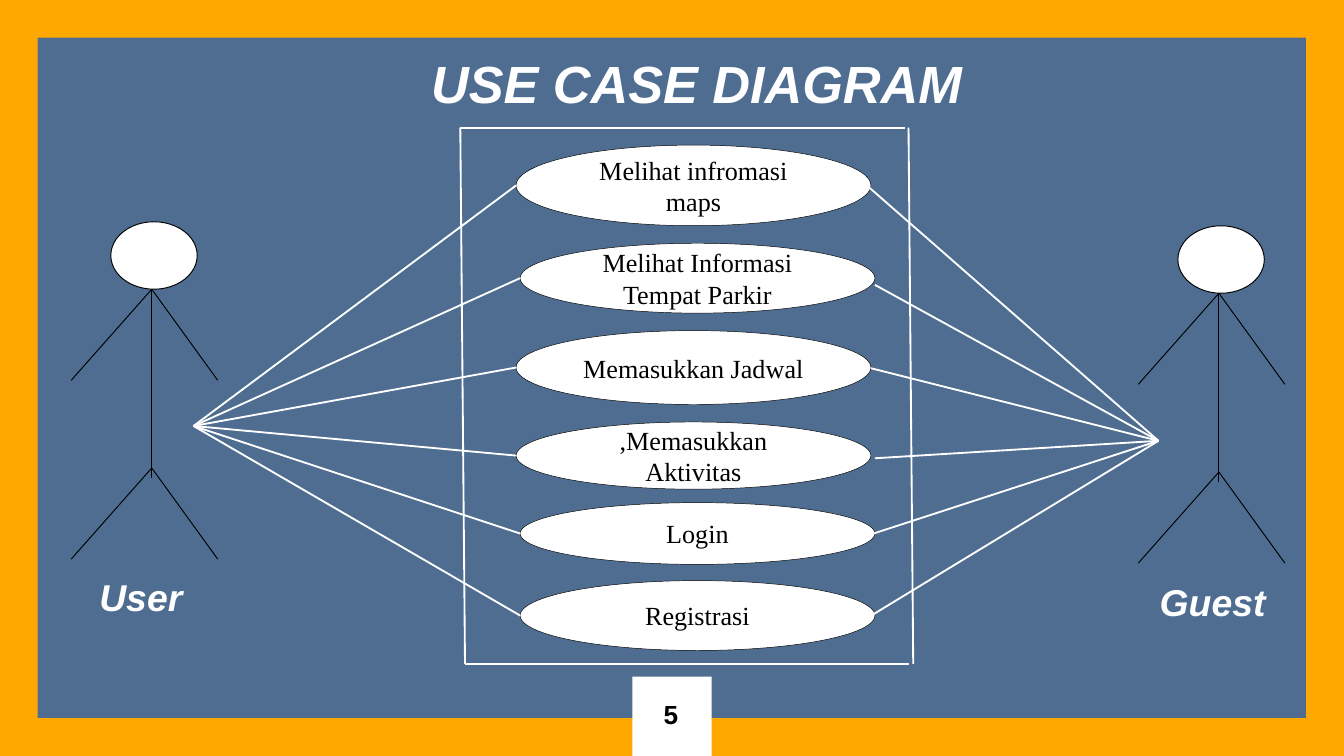
from lxml import etree
from pptx import Presentation
from pptx import util as u
from pptx.dml.color import RGBColor
from pptx.enum import shapes, text
from pptx.oxml import ns

WHITE = RGBColor(0xFF, 0xFF, 0xFF)
BLACK = RGBColor(0, 0, 0)
BLUE = RGBColor(0x32, 0x56, 0x80)
AMBER = RGBColor(0xFF, 0xA8, 0x00)

COLS, ROWS = 100, 56.25
CELL = u.Inches(0.1)
KIND = shapes.MSO_SHAPE
HEAD = dict(name="Arial", size=u.Pt(28), bold=True, italic=True)
ROLE = dict(HEAD, size=u.Pt(20))
PAGE = dict(ROLE, size=u.Pt(14), italic=False)
CASE = dict(name="Times New Roman", size=u.Pt(14))

CASES = [
    ("Melihat infromasi maps", 38.4, 10.8, 6, (64.5, 13.8)),
    ("Melihat Informasi Tempat Parkir", 38.7, 18.1, 5.2, (65.1, 21.2)),
    ("Memasukkan Jadwal", 38.4, 24.6, 5.5, (64.8, 27.4)),
    (",Memasukkan Aktivitas", 38.4, 31.4, 5, (65.1, 34.1)),
    ("Login", 38.7, 37.4, 4.6, (65, 39.7)),
    ("Registrasi", 38.7, 43.2, 5.2, (65, 45.7)),
]
BONES = [
    (0.55, 0.2, 0.55, 0.76),
    (0.55, 0.73, 0, 1), (0.55, 0.73, 1, 1),
    (0.55, 0.2, 0, 0.47), (0.55, 0.2, 1, 0.47),
]


def grid(*vals):
    """Turn grid cells into slide lengths."""
    return [u.Emu(round(v * CELL)) for v in vals]


def form(art, kind, box, fill, line=None, wide=0.25):
    """Draw one filled preset shape."""
    item = art.add_shape(kind, *grid(*box))
    item.shadow.inherit = False
    item.fill.solid()
    item.fill.fore_color.rgb = fill
    if line is None:
        item.line.fill.background()
    else:
        item.line.color.rgb = line
        item.line.width = u.Pt(wide)
    return item


def rule(art, start, end, tint=WHITE, wide=1):
    """Draw one straight line without a shadow."""
    item = art.add_connector(shapes.MSO_CONNECTOR.STRAIGHT, *grid(*start, *end))
    item.line.color.rgb = tint
    item.line.width = u.Pt(wide)
    etree.SubElement(item._element.spPr, ns.qn("a:effectLst"))


def words(item, copy, tint, font, **frame):
    """Write one styled line of text into a shape."""
    body = item.text_frame
    for key, val in dict(frame, word_wrap=True).items():
        setattr(body, key, val)
    run = body.paragraphs[0].add_run()
    run.text = copy
    for key, val in font.items():
        setattr(run.font, key, val)
    run.font.color.rgb = tint


def label(art, copy, box, tint, font, **frame):
    """Place a text box."""
    words(art.add_textbox(*grid(*box)), copy, tint, font, **frame)


def stage(art, box):
    """Draw the tinted ground, its frame and the page tab."""
    left, top, wide, high = box
    pane = form(art, KIND.RECTANGLE, box, BLUE)
    tone = pane.fill._xPr.find(".//" + ns.qn("a:srgbClr"))
    etree.SubElement(tone, ns.qn("a:alpha"), val="86000")
    edge = form(art, KIND.FRAME, box, AMBER)
    edge.adjustments[0] = 0.05
    tab = 5.9
    form(art, KIND.RECTANGLE,
         (left + (wide - tab) / 2, top + high - tab, tab, tab), WHITE)


def cases(art, box):
    """Draw the use cases and the outline of the system."""
    for copy, left, top, high, tip in CASES:
        oval = form(art, KIND.OVAL, (left, top, 26.4, high), WHITE, BLACK)
        words(oval, copy, BLACK, CASE, vertical_anchor=text.MSO_ANCHOR.MIDDLE)
        oval.text_frame.paragraphs[0].alignment = text.PP_ALIGN.CENTER
    left, top, wide, high = box
    right, base, lean = left + wide, top + high, 0.35
    rule(art, (left, top), (right - 0.3, top))
    rule(art, (left + lean, base), (left, top))
    rule(art, (right + lean, base), (right, top))
    rule(art, (left + lean, base), (right, base))


def links(art, user, guest):
    """Join both actors to every use case."""
    for copy, left, top, high, tip in CASES:
        rule(art, user, (left, top + high / 2))
        rule(art, tip, guest)


def actor(art, box, name, spot):
    """Draw a stick figure and its name."""
    left, top, wide, high = box
    body = art.add_group_shape().shapes
    for x1, y1, x2, y2 in BONES:
        rule(body, (left + x1 * wide, top + y1 * high),
             (left + x2 * wide, top + y2 * high), BLACK, 0.5)
    form(body, KIND.OVAL, (left + 0.27 * wide, top, 0.59 * wide, 0.2 * high),
         WHITE, BLACK, 0.5)
    label(art, name, spot, WHITE, ROLE)


def main():
    """Build and save the slide."""
    deck = Presentation()
    deck.slide_width, deck.slide_height = grid(COLS, ROWS)
    art = deck.slides.add_slide(deck.slide_layouts[6]).shapes
    stage(art, (0, 0, COLS, ROWS))
    pad = u.Inches(0.1)
    label(art, "USE CASE DIAGRAM", (31.1, 0.7, 58.5, 8.8), WHITE, HEAD,
          vertical_anchor=text.MSO_ANCHOR.BOTTOM,
          margin_top=pad, margin_bottom=pad)
    cases(art, (34.25, 9.5, 33.35, 39.9))
    links(art, (14.4, 31.7), (86.2, 32.8))
    actor(art, (5.3, 16.5, 10.9, 25.1), "User", (6.4, 42.2, 10.1, 4.4))
    actor(art, (84.7, 16.8, 10.9, 25.1), "Guest", (85.3, 42.6, 11.2, 4.4))
    label(art, "5", (48.4, 51.5, 6.3, 3.4), BLACK, PAGE)
    deck.save("out.pptx")


if __name__ == "__main__":
    main()
